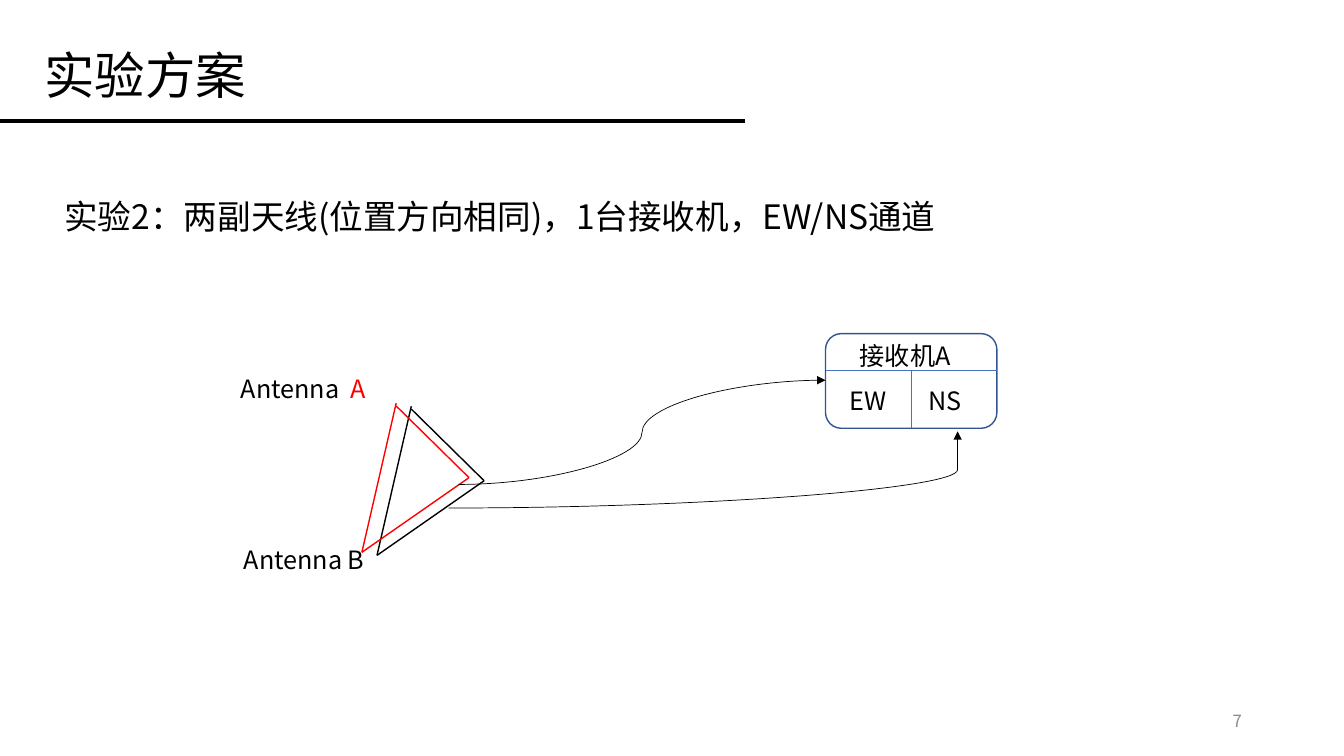
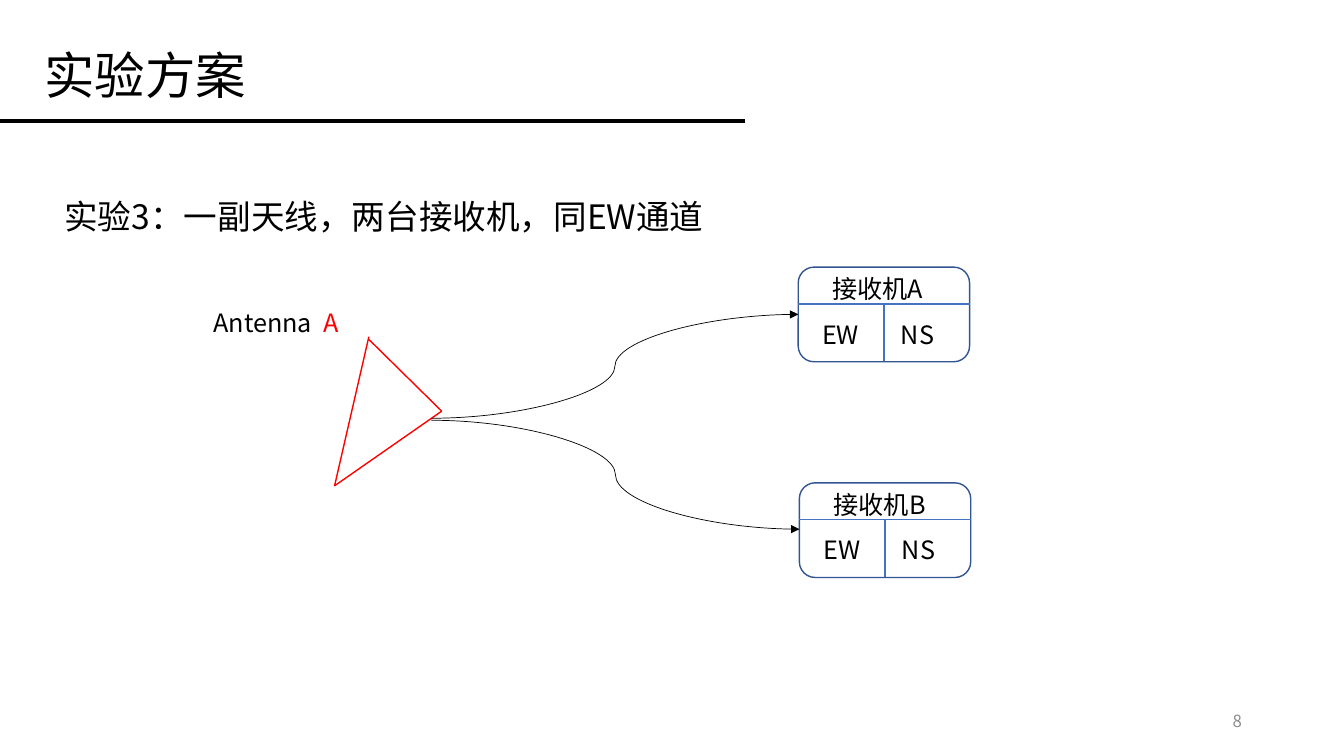
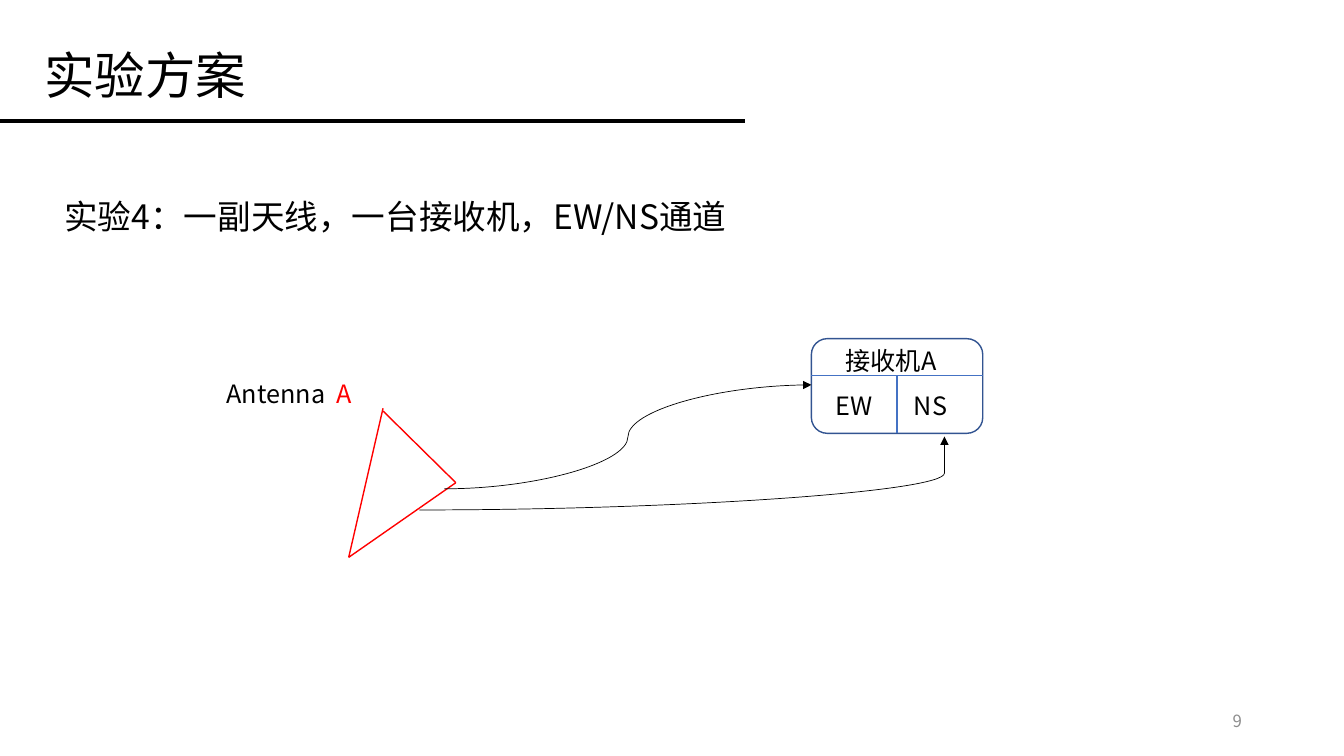
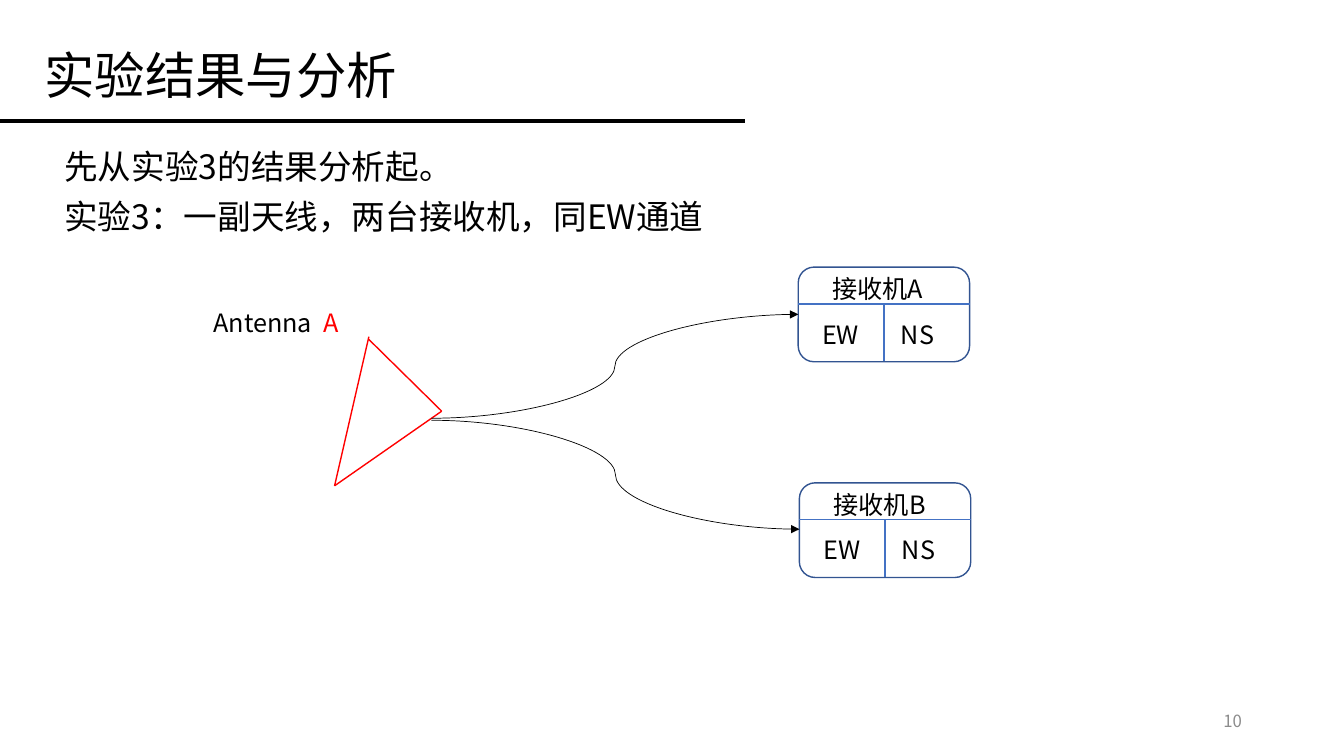
from lxml.etree import SubElement
from pptx import Presentation
from pptx.dml.color import RGBColor
from pptx.enum.shapes import MSO_CONNECTOR, MSO_SHAPE
from pptx.enum.text import MSO_ANCHOR, PP_ALIGN
from pptx.oxml.ns import qn
from pptx.util import Pt

BLACK = RGBColor(0x00, 0x00, 0x00)
WHITE = RGBColor(0xFF, 0xFF, 0xFF)
RED = RGBColor(0xFF, 0x00, 0x00)
GRAY = RGBColor(0x8C, 0x8C, 0x8C)
BLUE = RGBColor(0x44, 0x72, 0xC4)
DARK_BLUE = RGBColor(0x32, 0x54, 0x91)
FONT = "Noto Sans CJK SC"

PLAN = "实验方案"
TWO_RECEIVERS = {
    "antennas": [(263.5, 240.5, RED)],
    "receivers": [("A", 570.2, 190.8), ("B", 571, 344.9)],
    "labels": [([("Antenna  ", BLACK), ("A", RED)], 145.4, 216)],
    "cables": [(308.2, 298.8, 570.2, 224.6, 50), (308.2, 300.2, 571, 378, 50)],
}
# Cables: start x, start y, end x, end y, bend position in percent
SLIDES = [
    {
        "title": PLAN,
        "body": [("实验2：两副天线(位置方向相同)，1台接收机，EW/NS通道", 136.1)],
        "antennas": [(293.8, 290.2, BLACK), (283, 288, RED)],
        "receivers": [("A", 589.7, 238.3)],
        "labels": [([("Antenna  ", BLACK), ("A", RED)], 164.9, 262.8),
                   ([("Antenna B", BLACK)], 167, 385.2)],
        "cables": [(327.6, 346.1, 589.7, 271.6, 50), (320.4, 362.9, 684, 308.2, 100)],
    },
    {
        "title": PLAN,
        "body": [("实验3：一副天线，两台接收机，同EW通道", 136.1)],
        **TWO_RECEIVERS,
    },
    {
        "title": PLAN,
        "body": [("实验4：一副天线，一台接收机，EW/NS通道", 136.1)],
        "antennas": [(273.6, 291.6, RED)],
        "receivers": [("A", 579.6, 241.9)],
        "labels": [([("Antenna  ", BLACK), ("A", RED)], 154.8, 266.4)],
        "cables": [(317.5, 349.2, 579.6, 275, 50), (299.5, 364.3, 674.6, 311.8, 100)],
    },
    {
        "title": "实验结果与分析",
        "body": [("先从实验3的结果分析起。", 100.8),
                 ("实验3：一副天线，两台接收机，同EW通道", 136.1)],
        **TWO_RECEIVERS,
    },
]


def write_text(shape, pieces, size, alignment=PP_ALIGN.LEFT, anchor=MSO_ANCHOR.TOP):
    """Fill a shape with one paragraph of (text, colour) pieces."""
    frame = shape.text_frame
    frame.word_wrap = True
    frame.vertical_anchor = anchor
    paragraph = frame.paragraphs[0]
    paragraph.alignment = alignment
    for text, color in pieces:
        run = paragraph.add_run()
        run.text = text
        for name, value in {"name": FONT, "size": Pt(size)}.items():
            setattr(run.font, name, value)
        run.font.color.rgb = color
        SubElement(run.font._element, qn("a:ea"), typeface=FONT)
    return paragraph


def add_line(shapes, ends, color, width, kind=MSO_CONNECTOR.STRAIGHT):
    """Draw a connector through ends (x1, y1, x2, y2) without a shadow."""
    connector = shapes.add_connector(kind, *[Pt(value) for value in ends])
    connector.line.color.rgb = color
    connector.line.width = Pt(width)
    SubElement(connector._element.spPr, qn("a:effectLst"))
    return connector


presentation = Presentation()
presentation.slide_width, presentation.slide_height = Pt(960), Pt(540)
title_only = presentation.slide_layouts[5]

for number, content in enumerate(SLIDES, start=7):
    slide = presentation.slides.add_slide(title_only)

    # Title, rule and slide number
    title = slide.shapes.title
    for name, value in {"left": 24.5, "top": 3.6, "width": 828, "height": 104.4}.items():
        setattr(title, name, Pt(value))
    title.fill.solid()
    title.fill.fore_color.rgb = WHITE
    heading = write_text(title, [(content["title"], BLACK)], 36, anchor=MSO_ANCHOR.MIDDLE)
    heading.line_spacing = 0.9
    add_line(slide.shapes, (0, 86.4, 532, 86.4), BLACK, 3)
    number_box = slide.shapes.add_textbox(Pt(678.2), Pt(500.4), Pt(216), Pt(28.8))
    write_text(number_box, [(str(number), GRAY)], 12, PP_ALIGN.RIGHT, MSO_ANCHOR.MIDDLE)

    # Description with hanging indent
    for text, top in content["body"]:
        box = slide.shapes.add_textbox(Pt(38.9), Pt(top), Pt(707), Pt(36))
        properties = write_text(box, [(text, BLACK)], 24)._p.get_or_add_pPr()
        properties.set("marL", str(Pt(44.6)))
        properties.set("indent", str(-Pt(44.6)))

    diagram = slide.shapes.add_group_shape().shapes

    # Antennas: three wires around the apex
    for x, y, color in content["antennas"]:
        bottom, right = (x - 24.5, y + 106.5), (x + 52, y + 53.2)
        for start, end in [((x, y), bottom), (right, bottom), ((x, y + 2), right)]:
            add_line(diagram, start + end, color, 1)

    # Receivers: a rounded box with a name and two channels
    for letter, x, y in content["receivers"]:
        receiver = diagram.add_shape(
            MSO_SHAPE.ROUNDED_RECTANGLE, Pt(x), Pt(y), Pt(122.4), Pt(67.6))
        receiver.shadow.inherit = False
        receiver.fill.background()
        receiver.line.color.rgb = DARK_BLUE
        receiver.line.width = Pt(1)
        add_line(diagram, (x, y + 26.4, x + 122.4, y + 26.4), BLUE, 1)
        add_line(diagram, (x + 61.2, y + 26.4, x + 61.2, y + 67.4), BLUE, 1)
        for text, dx, dy, width in [("接收机" + letter, 17.3, 1, 90.7),
                                    ("EW", 10, 33.5, 42), ("NS", 66.2, 33.5, 42)]:
            box = diagram.add_textbox(Pt(x + dx), Pt(y + dy), Pt(width), Pt(28.8))
            write_text(box, [(text, BLACK)], 18)

    # Antenna labels
    for pieces, x, y in content["labels"]:
        box = diagram.add_textbox(Pt(x), Pt(y), Pt(111.6), Pt(28.8))
        write_text(box, pieces, 18)

    # Cables from antenna to receiver
    for *ends, bend in content["cables"]:
        cable = add_line(diagram, ends, BLACK, 0.5, MSO_CONNECTOR.CURVE)
        SubElement(cable.line._get_or_add_ln(), qn("a:tailEnd"), type="triangle")
        adjustments = cable._element.spPr.find(qn("a:prstGeom")).get_or_add_avLst()
        SubElement(adjustments, qn("a:gd"), name="adj1", fmla=f"val {bend * 1000}")

presentation.save("out.pptx")
